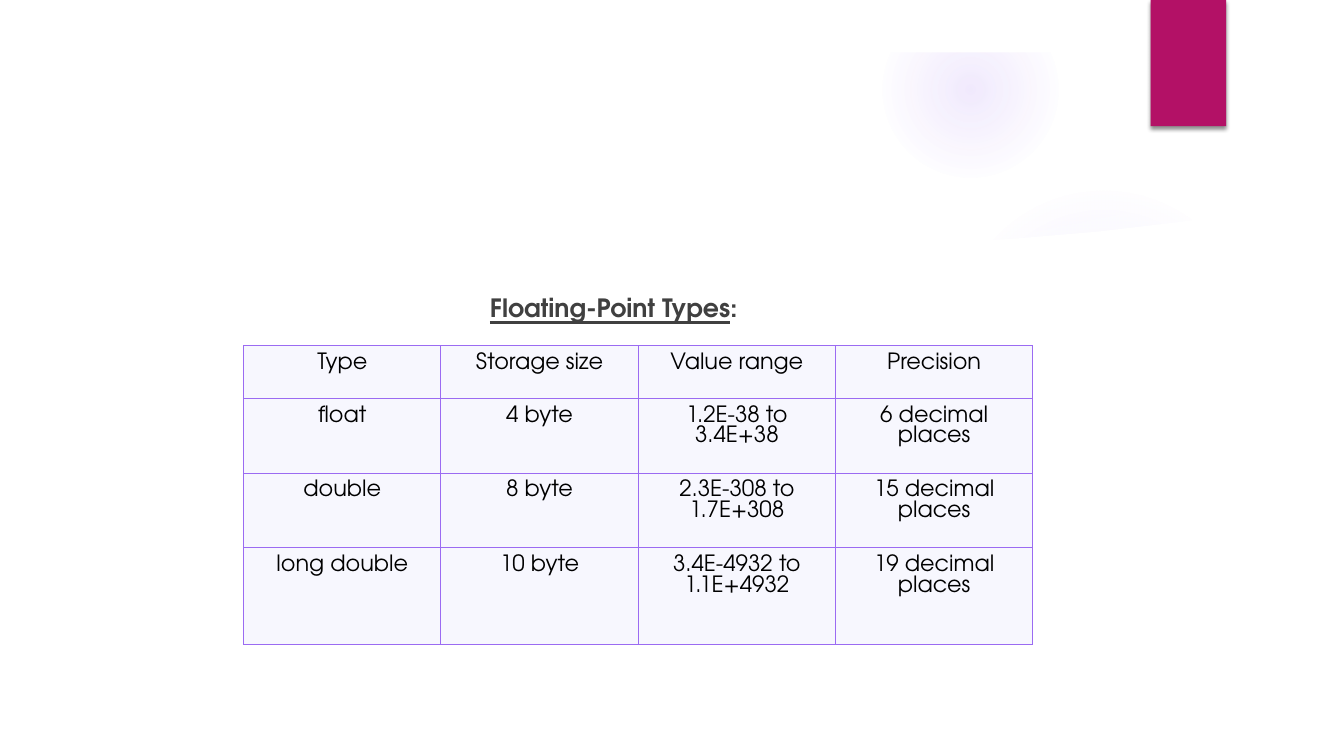
from dataclasses import dataclass

from lxml import etree
from pptx import Presentation
from pptx.dml.color import RGBColor
from pptx.enum.shapes import MSO_SHAPE
from pptx.enum.text import MSO_ANCHOR, MSO_AUTO_SIZE, PP_ALIGN
from pptx.oxml import parse_xml
from pptx.oxml.ns import nsdecls, qn
from pptx.util import Cm, Pt

RECTANGLE, OVAL = MSO_SHAPE.RECTANGLE, MSO_SHAPE.OVAL
CENTER, TOP, NO_FIT = PP_ALIGN.CENTER, MSO_ANCHOR.TOP, MSO_AUTO_SIZE.NONE


@dataclass(frozen=True)
class Theme:
    font: str = "TeX Gyre Adventor"
    heading: str = "404040"
    body: str = "000000"
    paper: str = "FFFFFF"
    violet: str = "9B6BF2"
    cell: str = "F7F7FE"
    ribbon: str = "B31166"
    heading_size: int = 18
    body_size: int = 16
    border_width: float = 0.75


THEME = Theme()
TYPES = [
    ("Type", "Storage size", "Value range", "Precision"),
    ("float", "4 byte", "1.2E-38 to 3.4E+38", "6 decimal places"),
    ("double", "8 byte", "2.3E-308 to 1.7E+308", "15 decimal places"),
    ("long double", "10 byte", "3.4E-4932 to 1.1E+4932", "19 decimal places"),
]
ROW_HEIGHTS = [1.33, 1.88, 1.88, 2.43]
PANEL_EDGE = [(1.27, 5.18), (5.49, 5.77), (11.15, 6.12), (17.32, 6.3), (22.02, 6.2),
              (25.5, 6.02), (27.64, 5.84), (29.77, 5.59), (32.61, 5.18)]
PANEL_BASE = [(32.61, 17.78), (1.27, 17.78)]
SWOOSH = [(23.62, 6.17), (26.19, 5.82), (29.06, 5.23), (32.59, 4.22), (32.74, 5.44), (23.72, 6.35)]


def write(paragraph, text, size, color, bold=False, underline=False):
    run = paragraph.add_run()
    run.text = text
    run.font.name = THEME.font
    run.font.size = Pt(size)
    run.font.color.rgb = RGBColor.from_string(color)
    run.font.bold = bold
    run.font.underline = underline


def paint(shape, color):
    shape.shadow.inherit = False
    shape.fill.solid()
    shape.fill.fore_color.rgb = RGBColor.from_string(color)
    shape.line.fill.background()


def add_block(slide, left, top, width, height, color):
    block = slide.shapes.add_shape(RECTANGLE, Cm(left), Cm(top), Cm(width), Cm(height))
    paint(block, color)
    return block


def add_outline(slide, points, color):
    corners = [(Cm(x), Cm(y)) for x, y in points]
    builder = slide.shapes.build_freeform(*corners[0])
    builder.add_line_segments(corners[1:], close=True)
    outline = builder.convert_to_shape()
    paint(outline, color)
    return outline


def add_glow(slide, left, top, diameter, stops):
    glow = slide.shapes.add_shape(OVAL, Cm(left), Cm(top), Cm(diameter), Cm(diameter))
    paint(glow, THEME.violet)
    stop_xml = "".join(
        f'<a:gs pos="{position * 1000}"><a:srgbClr val="{THEME.violet}">'
        f'<a:alpha val="{alpha * 1000}"/></a:srgbClr></a:gs>'
        for position, alpha in stops)
    gradient = parse_xml(
        f'<a:gradFill {nsdecls("a")} rotWithShape="1"><a:gsLst>{stop_xml}</a:gsLst>'
        '<a:path path="circle"><a:fillToRect l="50000" t="50000" r="50000" b="50000"/>'
        '</a:path></a:gradFill>')
    solid = glow.element.spPr.find(qn("a:solidFill"))
    solid.getparent().replace(solid, gradient)


def add_backdrop(slide, width, margin):
    add_glow(slide, 23.9, 4.65, 7.82, [(0, 7), (36, 6), (69, 0)])
    add_glow(slide, 22.23, 0.03, 4.45, [(0, 14), (36, 7), (73, 0)])
    swoosh = add_outline(slide, SWOOSH, THEME.paper)
    tint = swoosh.element.spPr.find(qn("a:solidFill"))[0]
    etree.SubElement(tint, qn("a:alpha")).set("val", "20000")
    add_outline(slide, PANEL_EDGE + PANEL_BASE, THEME.paper)
    add_block(slide, 0, 0, width, margin, THEME.paper)


def add_ribbon(slide, left, top, width, height):
    ribbon = add_block(slide, left, top, width, height, THEME.ribbon)
    effects = ribbon.element.spPr.find(qn("a:effectLst"))
    effects.append(parse_xml(
        f'<a:outerShdw {nsdecls("a")} blurRad="{Pt(3)}" dist="{Pt(2)}" dir="5400000" '
        'rotWithShape="0"><a:srgbClr val="000000"><a:alpha val="45000"/></a:srgbClr>'
        '</a:outerShdw>'))


def add_heading(slide, left, top, width, height):
    heading = slide.shapes.title
    heading.element.getparent().append(heading.element)
    heading.left, heading.top = Cm(left), Cm(top)
    heading.width, heading.height = Cm(width), Cm(height)
    frame = heading.text_frame
    frame.word_wrap, frame.auto_size, frame.vertical_anchor = True, NO_FIT, TOP
    paragraph = frame.paragraphs[0]
    paragraph.alignment = CENTER
    for text, underline in (("Floating-Point Types", True), (":", False)):
        write(paragraph, text, THEME.heading_size, THEME.heading, bold=True, underline=underline)


def format_cell(cell, text):
    properties = cell._tc.get_or_add_tcPr()
    for side in ("lnL", "lnR", "lnT", "lnB"):
        properties.append(parse_xml(
            f'<a:{side} {nsdecls("a")} w="{Pt(THEME.border_width)}"><a:solidFill>'
            f'<a:srgbClr val="{THEME.violet}"/></a:solidFill></a:{side}>'))
    cell.fill.solid()
    cell.fill.fore_color.rgb = RGBColor.from_string(THEME.cell)
    cell.margin_left = cell.margin_right = cell.margin_top = cell.margin_bottom = Cm(0.18)
    cell.vertical_anchor = TOP
    paragraph = cell.text_frame.paragraphs[0]
    paragraph.alignment = CENTER
    write(paragraph, text, THEME.body_size, THEME.body)


def add_types_table(slide, left, top, width):
    columns = len(TYPES[0])
    table = slide.shapes.add_table(len(TYPES), columns, Cm(left), Cm(top),
                                   Cm(width), Cm(sum(ROW_HEIGHTS))).table
    table.first_row = table.horz_banding = False
    for column in table.columns:
        column.width = Cm(width / columns)
    for row, height, texts in zip(table.rows, ROW_HEIGHTS, TYPES):
        row.height = Cm(height)
        for cell, text in zip(row.cells, texts):
            format_cell(cell, text)


def main():
    presentation = Presentation()
    presentation.slide_width, presentation.slide_height = Cm(33.87), Cm(19.05)
    slide = presentation.slides.add_slide(presentation.slide_layouts[5])
    add_backdrop(slide, 33.87, 1.32)
    add_ribbon(slide, 29, 0, 1.9, 3.18)
    add_heading(slide, 3.21, 7.24, 24.51, 1.3)
    add_types_table(slide, 6.14, 8.71, 19.89)
    presentation.save("out.pptx")


if __name__ == "__main__":
    main()
